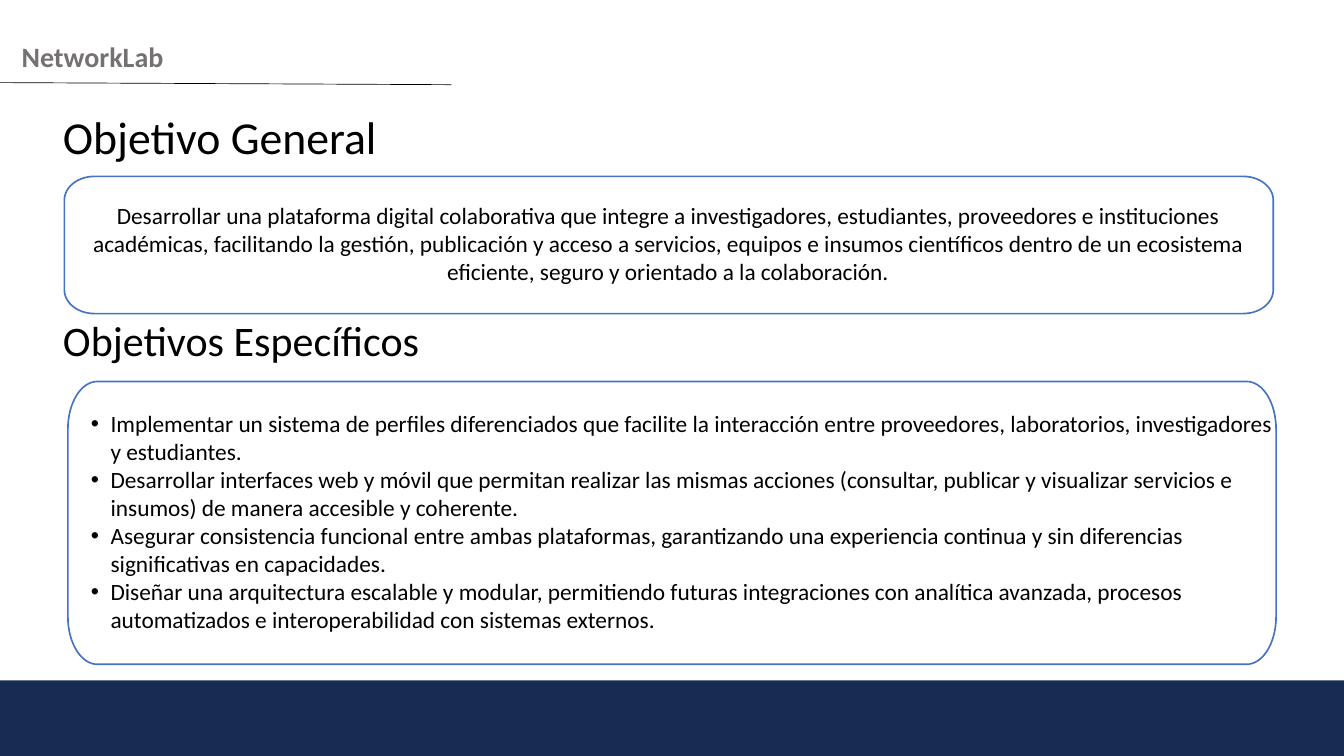
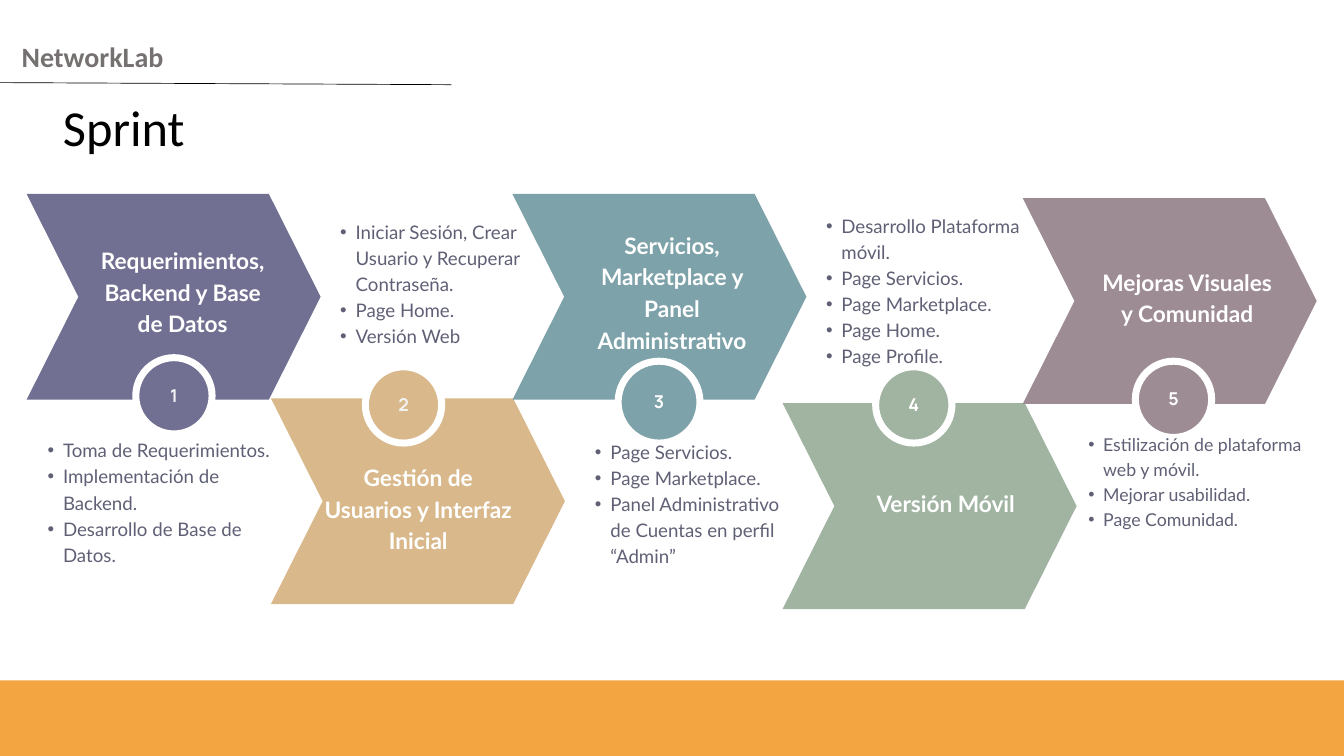
from math import cos, pi, sin
from typing import NamedTuple

from lxml import etree
from pptx import Presentation
from pptx.dml.color import RGBColor
from pptx.enum.shapes import MSO_CONNECTOR, MSO_SHAPE
from pptx.enum.text import MSO_ANCHOR, MSO_AUTO_SIZE, PP_ALIGN
from pptx.oxml.ns import qn
from pptx.slide import Slide
from pptx.util import Emu, Pt

# Enum members
LEFT, CENTER = PP_ALIGN.LEFT, PP_ALIGN.CENTER
TOP, MIDDLE = MSO_ANCHOR.TOP, MSO_ANCHOR.MIDDLE
CHEVRON, OVAL, RECTANGLE = MSO_SHAPE.CHEVRON, MSO_SHAPE.OVAL, MSO_SHAPE.RECTANGLE

# Colours
WHITE = RGBColor(0xFF, 0xFF, 0xFF)
PALE = RGBColor(0xF2, 0xF2, 0xF2)
BLACK = RGBColor(0x00, 0x00, 0x00)
GRAY = RGBColor(0x76, 0x71, 0x71)
SLATE = RGBColor(0x5F, 0x60, 0x75)
BLUE = RGBColor(0x44, 0x72, 0xC4)
NAVY = RGBColor(0x17, 0x2C, 0x51)
ORANGE = RGBColor(0xF2, 0xA5, 0x41)
PURPLE = RGBColor(0x71, 0x70, 0x92)
SAND = RGBColor(0xD9, 0xB9, 0x8B)
TEAL = RGBColor(0x7D, 0xA2, 0xA9)
SAGE = RGBColor(0xA1, 0xB4, 0xA2)
MAUVE = RGBColor(0x9E, 0x8C, 0x95)

# Measures
EMU_PER_PX = 9525
SLIDE_W, SLIDE_H = 1920, 1080
BAND_H = 108
CHEVRON_W, CHEVRON_H, CHEVRON_POINT = 420, 294, 74
PANEL_INSET = 6
ARC_STEPS = 16


class Box(NamedTuple):
    x: int
    y: int
    w: int
    h: int


class Style(NamedTuple):
    font: str
    size: float
    color: RGBColor
    bold: bool = False
    leading: float = 1.2
    align: PP_ALIGN = LEFT
    bullet: bool = False


class Step(NamedTuple):
    color: RGBColor
    chevron: tuple[int, int]
    badge: Box
    number_color: RGBColor
    heading: str
    heading_box: Box
    tasks: list[str]
    tasks_box: Box
    tasks_size: int = 20


BRAND = Style("Calibri", 30, GRAY, bold=True)
PANEL_TEXT = Style("Calibri", 25, BLACK, align=CENTER)
PANEL_LIST = Style("Calibri", 25, BLACK, bullet=True)
STEP_HEADING = Style("Lato", 24.3, WHITE, bold=True, leading=1.4, align=CENTER)

GENERAL_GOAL = (
    "Desarrollar una plataforma digital colaborativa que integre a investigadores, "
    "estudiantes, proveedores e instituciones académicas, facilitando la gestión, "
    "publicación y acceso a servicios, equipos e insumos científicos dentro de un "
    "ecosistema eficiente, seguro y orientado a la colaboración."
)
SPECIFIC_GOALS = [
    "Implementar un sistema de perfiles diferenciados que facilite la interacción entre "
    "proveedores, laboratorios, investigadores y estudiantes.",
    "Desarrollar interfaces web y móvil que permitan realizar las mismas acciones "
    "(consultar, publicar y visualizar servicios e insumos) de manera accesible y coherente.",
    "Asegurar consistencia funcional entre ambas plataformas, garantizando una experiencia "
    "continua y sin diferencias significativas en capacidades.",
    "Diseñar una arquitectura escalable y modular, permitiendo futuras integraciones con "
    "analítica avanzada, procesos automatizados e interoperabilidad con sistemas externos.",
]
STEPS = [
    Step(PURPLE, (38, 277), Box(194, 511, 109, 109), PALE,
         "Requerimientos, Backend y Base de Datos", Box(141, 346, 240, 132),
         ["Toma de Requerimientos.", "Implementación de Backend.",
          "Desarrollo de Base de Datos."], Box(45, 622, 356, 184)),
    Step(SAND, (387, 569), Box(522, 524, 109, 109), PALE,
         "Gestión de Usuarios y Interfaz Inicial", Box(463, 656, 269, 132),
         ["Iniciar Sesión, Crear Usuario y Recuperar Contraseña.", "Page Home.",
          "Versión Web"], Box(463, 310, 338, 184)),
    Step(TEAL, (732, 277), Box(883, 516, 117, 117), WHITE,
         "Servicios, Marketplace y Panel Administrativo", Box(846, 324, 228, 177),
         ["Page Servicios.", "Page Marketplace.",
          "Panel Administrativo de Cuentas en perfil “Admin”"], Box(827, 624, 292, 184)),
    Step(SAGE, (1118, 576), Box(1251, 524, 109, 109), WHITE,
         "Versión Móvil", Box(1237, 694, 228, 44),
         ["Desarrollo Plataforma móvil.", "Page Servicios.", "Page Marketplace.",
          "Page Home.", "Page Profile."], Box(1157, 301, 308, 222)),
    Step(MAUVE, (1461, 283), Box(1622, 516, 109, 109), WHITE,
         "Mejoras Visuales y Comunidad", Box(1570, 377, 252, 88),
         ["Estilización de plataforma web y móvil.", "Mejorar usabilidad.",
          "Page Comunidad."], Box(1533, 615, 348, 139), 19),
]


def px(n: float) -> Emu:
    return Emu(round(n * EMU_PER_PX))


def place(box: Box) -> list[Emu]:
    return [px(n) for n in box]


# Text
def set_margins(tf, left: int, top: int, right: int, bottom: int) -> None:
    tf.margin_left, tf.margin_top = px(left), px(top)
    tf.margin_right, tf.margin_bottom = px(right), px(bottom)


def add_bullet(p, size: float) -> None:
    indent = round(size * 2.26)
    pPr = p._p.get_or_add_pPr()
    pPr.set("marL", str(px(indent)))
    pPr.set("indent", str(-px(indent // 2)))
    etree.SubElement(pPr, qn("a:buFont")).set("typeface", "Arial")
    etree.SubElement(pPr, qn("a:buChar")).set("char", "•")


def write(tf, lines: list[str], style: Style) -> None:
    tf.word_wrap = True
    for i, line in enumerate(lines):
        p = tf.add_paragraph() if i else tf.paragraphs[0]
        if style.bullet:
            add_bullet(p, style.size)
        p.alignment = style.align
        p.line_spacing = Pt(style.size * style.leading)
        r = p.add_run()
        r.text = line
        r.font.name = style.font
        r.font.size = Pt(style.size)
        r.font.bold = style.bold
        r.font.color.rgb = style.color


def add_text(s: Slide, box: Box, lines: list[str], style: Style,
             inset: int = 0, anchor: MSO_ANCHOR = TOP) -> None:
    tf = s.shapes.add_textbox(*place(box)).text_frame
    set_margins(tf, inset, inset, inset, inset)
    tf.vertical_anchor = anchor
    write(tf, lines, style)
    if anchor == TOP:
        tf.auto_size = MSO_AUTO_SIZE.SHAPE_TO_FIT_TEXT


# Shapes
def paint(sp, fill: RGBColor, line: RGBColor | None = None, width: float = 0) -> None:
    sp.shadow.inherit = False
    sp.fill.solid()
    sp.fill.fore_color.rgb = fill
    if line is None:
        sp.line.fill.background()
    else:
        sp.line.color.rgb = line
        sp.line.width = Pt(width)


def add_panel(s: Slide, box: Box, rx: int, ry: int) -> None:
    """Outlined panel whose corners are quarter ellipses."""
    left, right = box.x + rx, box.x + box.w - rx
    top, bottom = box.y + ry, box.y + box.h - ry
    centers = [(right, bottom), (left, bottom), (left, top), (right, top)]
    points = []
    for quarter, (cx, cy) in enumerate(centers):
        for k in range(ARC_STEPS + 1):
            angle = (quarter + k / ARC_STEPS) * pi / 2
            points.append((px(cx + rx * cos(angle)), px(cy + ry * sin(angle))))
    builder = s.shapes.build_freeform(*points[0], scale=1.0)
    builder.add_line_segments(points[1:], close=True)
    paint(builder.convert_to_shape(), WHITE, BLUE, 1.75)


def add_chevron(s: Slide, step: Step) -> None:
    sp = s.shapes.add_shape(CHEVRON, *place(Box(*step.chevron, CHEVRON_W, CHEVRON_H)))
    sp.adjustments[0] = CHEVRON_POINT / CHEVRON_H
    paint(sp, step.color)


def add_badge(s: Slide, step: Step, number: int) -> None:
    sp = s.shapes.add_shape(OVAL, *place(step.badge))
    paint(sp, step.color, WHITE, 7.5)
    tf = sp.text_frame
    set_margins(tf, 0, 0, 0, 7)
    tf.vertical_anchor = MIDDLE
    write(tf, [str(number)],
          Style("Manrope", 19, step.number_color, bold=True, leading=1.4, align=CENTER))


# Slides
def add_base(prs, band_color: RGBColor) -> Slide:
    s = prs.slides.add_slide(prs.slide_layouts[6])
    rule = s.shapes.add_connector(MSO_CONNECTOR.STRAIGHT, px(0), px(118), px(645), px(121))
    rule.line.color.rgb = BLACK
    rule.line.width = Pt(0.75)
    etree.SubElement(rule._element.spPr, qn("a:effectLst"))
    add_text(s, Box(31, 57, 613, 53), ["NetworkLab"], BRAND)
    band = s.shapes.add_shape(RECTANGLE, *place(Box(0, SLIDE_H - BAND_H, SLIDE_W, BAND_H)))
    paint(band, band_color)
    return s


def add_title(s: Slide, box: Box, text: str, size: int) -> None:
    add_text(s, box, [text], Style("Calibri", size, BLACK))


def build_goals(prs) -> None:
    s = add_base(prs, NAVY)
    add_title(s, Box(90, 155, 468, 88), "Objetivo General", 49)
    add_panel(s, Box(92, 252, 1727, 196), 43, 34)
    add_text(s, Box(90, 246, 1728, 203), [GENERAL_GOAL], PANEL_TEXT, PANEL_INSET, MIDDLE)
    add_title(s, Box(90, 450, 537, 82), "Objetivos Específicos", 45)
    add_panel(s, Box(97, 545, 1726, 404), 42, 68)
    add_text(s, Box(96, 539, 1728, 411), SPECIFIC_GOALS, PANEL_LIST, PANEL_INSET, MIDDLE)


def build_sprint(prs) -> None:
    s = add_base(prs, ORANGE)
    add_title(s, Box(90, 138, 951, 98), "Sprint", 54)
    for step in STEPS:
        add_chevron(s, step)
    for number, step in enumerate(STEPS, 1):
        add_badge(s, step, number)
        add_text(s, step.heading_box, [step.heading], STEP_HEADING)
        add_text(s, step.tasks_box, step.tasks,
                 Style("Lato", step.tasks_size, SLATE, leading=1.4, bullet=True))


def main() -> None:
    prs = Presentation()
    prs.slide_width, prs.slide_height = px(SLIDE_W), px(SLIDE_H)
    build_goals(prs)
    build_sprint(prs)
    prs.save("out.pptx")


if __name__ == "__main__":
    main()
